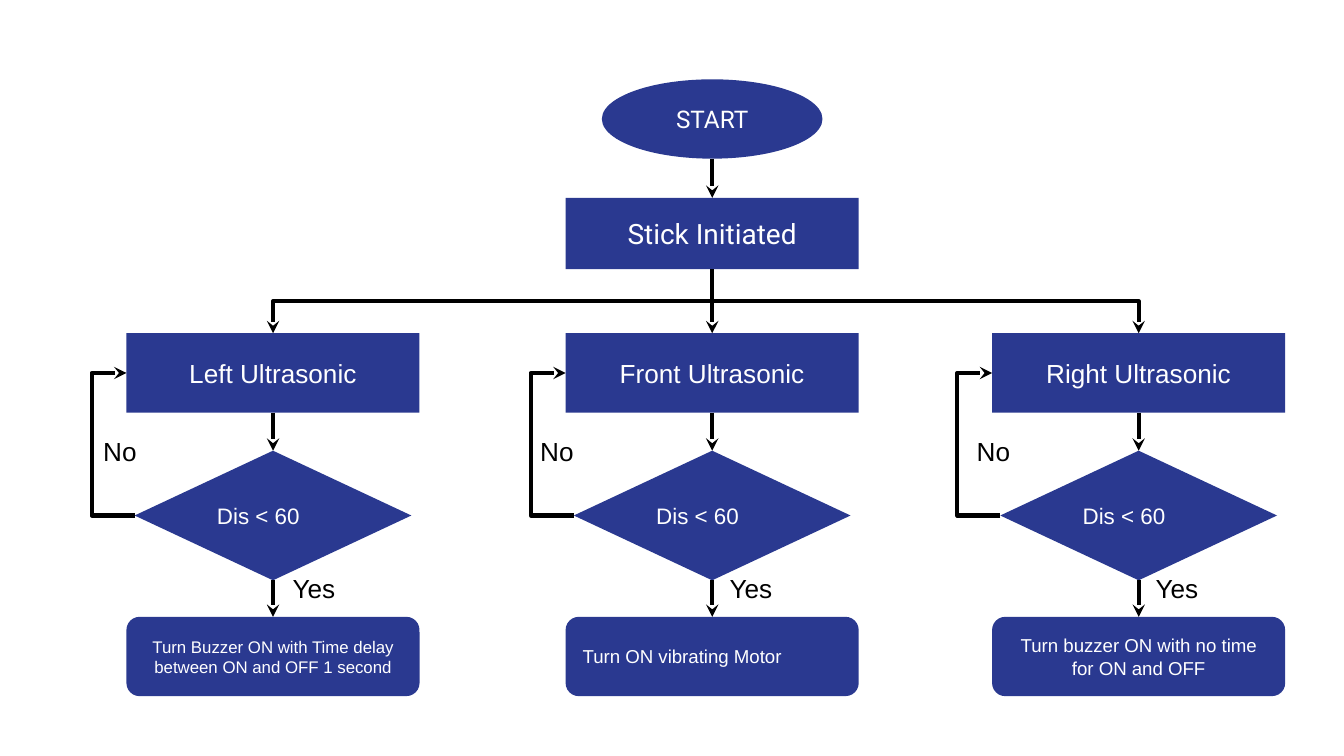
from lxml.etree import SubElement
from pptx import Presentation
from pptx.dml.color import RGBColor
from pptx.enum.shapes import MSO_CONNECTOR, MSO_SHAPE
from pptx.enum.text import MSO_ANCHOR, PP_ALIGN
from pptx.oxml.ns import qn
from pptx.util import Cm, Pt

NAVY, WHITE, BLACK = "2A3990", "FFFFFF", "000000"
LEFT, CENTER = PP_ALIGN.LEFT, PP_ALIGN.CENTER

# All lengths are in centimetres.
BRANCHES = [
    dict(center=5.16, sensor="Left Ultrasonic", no_left=1.7, yes_left=5.28, size=9, align=CENTER,
         outcome="Turn Buzzer ON with Time delay between ON and OFF 1 second"),
    dict(center=13.46, sensor="Front Ultrasonic", no_left=9.96, yes_left=13.54, size=10, align=LEFT,
         outcome="Turn ON vibrating Motor"),
    dict(center=21.52, sensor="Right Ultrasonic", no_left=18.21, yes_left=21.59, size=10, align=CENTER,
         outcome="Turn buzzer ON with no time for ON and OFF"),
]
CONDITION = "Dis < 60"
TRUNK = BRANCHES[1]["center"]

# Each row of the chart: shape, top, width, height
START = (MSO_SHAPE.OVAL, 1.5, 4.17, 1.5)
INITIATED = (MSO_SHAPE.RECTANGLE, 3.74, 5.54, 1.35)
SENSOR = (MSO_SHAPE.RECTANGLE, 6.3, 5.54, 1.5)
DECISION = (MSO_SHAPE.DIAMOND, 8.52, 5.23, 2.45)
OUTCOME = (MSO_SHAPE.ROUNDED_RECTANGLE, 11.66, 5.54, 1.5)
NO_TOP, YES_TOP = 7.98, 10.57
LABEL_SIZE = (2.44, 1.12)
LOOP_GAP = 0.66  # from the sensor box to the return line


def color(text):
    return RGBColor.from_string(text)


def bottom(row):
    return row[1] + row[3]


def write(box, text, size, font, ink, align, anchor):
    frame = box.text_frame
    margins = {f"margin_{side}": Cm(0.25) for side in ("left", "right", "top", "bottom")}
    for name, value in {**margins, "word_wrap": True, "vertical_anchor": anchor}.items():
        setattr(frame, name, value)
    para = frame.paragraphs[0]
    para.alignment = align
    span = para.add_run()
    span.text = text
    for name, value in {"size": Pt(size), "name": font}.items():
        setattr(span.font, name, value)
    span.font.color.rgb = color(ink)


def add_node(page, row, center, text, size, font="Arial", align=CENTER):
    kind, top, width, height = row
    box = page.shapes.add_shape(kind, Cm(center - width / 2), Cm(top), Cm(width), Cm(height))
    box.shadow.inherit = False
    box.fill.solid()
    box.fill.fore_color.rgb = color(NAVY)
    box.line.fill.background()
    write(box, text, size, font, WHITE, align, MSO_ANCHOR.MIDDLE)


def add_label(page, left, top, text):
    box = page.shapes.add_textbox(Cm(left), Cm(top), *map(Cm, LABEL_SIZE))
    write(box, text, 14, "Arial", BLACK, LEFT, MSO_ANCHOR.TOP)


def add_arrow(page, start, end, kind=MSO_CONNECTOR.STRAIGHT):
    arrow = page.shapes.add_connector(kind, *map(Cm, (*start, *end)))
    arrow.line.color.rgb = color(BLACK)
    arrow.line.width = Pt(2.25)
    SubElement(arrow.line._get_or_add_ln(), qn("a:tailEnd"), type="stealth")
    SubElement(arrow._element.spPr, qn("a:effectLst"))
    return arrow


def add_elbow(page, start, end, turn, bend=0.5):
    """Draw an elbow arrow turned by 90, 180 or 270 degrees; bend is a share of its first axis."""
    (x1, y1), (x2, y2) = start, end
    width, height = abs(x2 - x1), abs(y2 - y1)
    if turn != 180:
        width, height = height, width
    left, top = (x1 + x2 - width) / 2, (y1 + y2 - height) / 2
    ends = [left, left + width]
    if turn == 270:
        ends.reverse()
    arrow = add_arrow(page, (ends[0], top), (ends[1], top + height), MSO_CONNECTOR.ELBOW)
    properties = arrow._element.spPr
    properties.find(qn("a:xfrm")).set("rot", str(turn * 60000))
    guides = properties.find(qn("a:prstGeom")).get_or_add_avLst()
    SubElement(guides, qn("a:gd"), name="adj1", fmla=f"val {round(bend * 100000)}")


def add_branch(page, branch):
    center = branch["center"]
    add_node(page, SENSOR, center, branch["sensor"], 14)
    add_node(page, DECISION, center, CONDITION, 12, align=LEFT)
    add_node(page, OUTCOME, center, branch["outcome"], branch["size"], align=branch["align"])

    fork, entry = (TRUNK, bottom(INITIATED)), (center, SENSOR[1])
    if center == TRUNK:
        add_arrow(page, fork, entry)
    else:
        add_elbow(page, fork, entry, 90 if center < TRUNK else 270)
    for upper, lower in ((SENSOR, DECISION), (DECISION, OUTCOME)):
        add_arrow(page, (center, bottom(upper)), (center, lower[1]))

    loop_start = (center - DECISION[2] / 2, DECISION[1] + DECISION[3] / 2)
    loop_end = (center - SENSOR[2] / 2, SENSOR[1] + SENSOR[3] / 2)
    step = loop_start[0] - loop_end[0]
    add_elbow(page, loop_start, loop_end, 180, (step + LOOP_GAP) / step)

    add_label(page, branch["no_left"], NO_TOP, "No")
    add_label(page, branch["yes_left"], YES_TOP, "Yes")


def main():
    deck = Presentation()
    deck.slide_width, deck.slide_height = Cm(25.4), Cm(14.29)
    page = deck.slides.add_slide(deck.slide_layouts[6])
    add_node(page, START, TRUNK, "START", 13, "Roboto")
    add_node(page, INITIATED, TRUNK, "Stick Initiated", 15, "Roboto")
    add_arrow(page, (TRUNK, bottom(START)), (TRUNK, INITIATED[1]))
    for branch in BRANCHES:
        add_branch(page, branch)
    deck.save("out.pptx")


if __name__ == "__main__":
    main()
